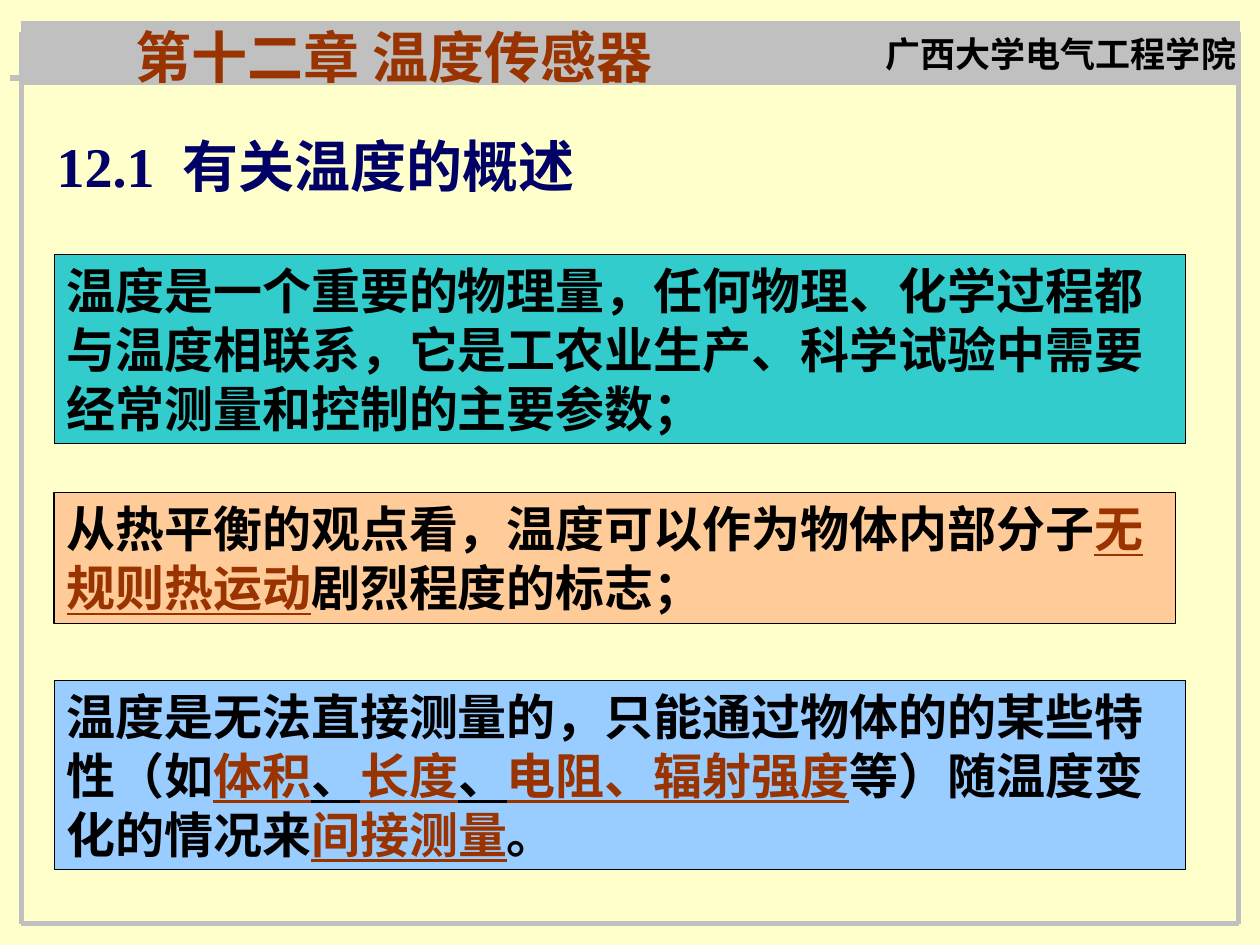
from dataclasses import dataclass

from lxml.etree import SubElement
from pptx import Presentation
from pptx.dml.color import RGBColor
from pptx.enum.lang import MSO_LANGUAGE_ID
from pptx.enum.shapes import MSO_CONNECTOR, MSO_SHAPE
from pptx.enum.text import MSO_ANCHOR, MSO_AUTO_SIZE, PP_ALIGN
from pptx.oxml.ns import qn
from pptx.util import Inches, Pt

CREAM = RGBColor(0xFF, 0xFF, 0xCC)
GRAY = RGBColor(0xC0, 0xC0, 0xC0)
BLACK = RGBColor(0x00, 0x00, 0x00)
NAVY = RGBColor(0x00, 0x00, 0x66)
RUST = RGBColor(0x99, 0x33, 0x00)
TEAL = RGBColor(0x33, 0xCC, 0xCC)
PEACH = RGBColor(0xFF, 0xCC, 0x99)
SKY = RGBColor(0x99, 0xCC, 0xFF)
SERIF = "Times New Roman"
SANS = "Noto Sans CJK SC"
LINE_FACTOR = 1.2


@dataclass
class Span:
    text: str
    color: RGBColor = BLACK
    underline: bool = False


@dataclass
class Panel:
    top: float
    width: float
    height: float
    fill: RGBColor
    spans: list[Span]


FRAME_LINES = [
    (0.08, 0.62, 9.75, 0.62),
    (0.17, 0.25, 0.17, 7.33),
    (9.83, 0.25, 9.83, 7.33),
    (0.17, 7.33, 9.83, 7.33),
]

PANELS = [
    Panel(2.02, 8.98, 1.5, TEAL, [
        Span("温度是一个重要的物理量，任何物理、化学过程都与温度相联系，"
             "它是工农业生产、科学试验中需要经常测量和控制的主要参数；"),
    ]),
    Panel(3.91, 8.9, 1.04, PEACH, [
        Span("从热平衡的观点看，温度可以作为物体内部分子"),
        Span("无规则热运动", RUST, True),
        Span("剧烈程度的标志；"),
    ]),
    Panel(5.4, 8.98, 1.5, SKY, [
        Span("温度是无法直接测量的，只能通过物体的的某些特性（如"),
        Span("体积", RUST, True),
        Span("、", BLACK, True),
        Span("长度", RUST, True),
        Span("、", BLACK, True),
        Span("电阻、辐射强度", RUST, True),
        Span("等）随温度变化的情况来"),
        Span("间接测量", RUST, True),
        Span("。"),
    ]),
]


def write_text(shape, spans: list[Span], size: int, font_name: str, wrap: bool = True) -> None:
    frame = shape.text_frame
    frame_format = {
        "word_wrap": wrap,
        "auto_size": MSO_AUTO_SIZE.NONE,
        "vertical_anchor": MSO_ANCHOR.TOP,
        "margin_left": Inches(0.1),
        "margin_right": Inches(0.1),
        "margin_top": Inches(0.05),
        "margin_bottom": Inches(0.05),
    }
    for name, value in frame_format.items():
        setattr(frame, name, value)
    para = frame.paragraphs[0]
    para.alignment = PP_ALIGN.LEFT
    para.space_before = Pt(0)
    para.line_spacing = Pt(size * LINE_FACTOR)
    for span in spans:
        run = para.add_run()
        run.text = span.text
        font_format = {
            "name": font_name,
            "size": Pt(size),
            "bold": True,
            "underline": span.underline,
            "language_id": MSO_LANGUAGE_ID.SIMPLIFIED_CHINESE,
        }
        for name, value in font_format.items():
            setattr(run.font, name, value)
        run.font.color.rgb = span.color
        SubElement(run.font._element, qn("a:ea"), typeface=SANS)


def add_rectangle(slide, left: float, top: float, width: float, height: float,
                  fill: RGBColor, line: RGBColor):
    box = slide.shapes.add_shape(
        MSO_SHAPE.RECTANGLE, Inches(left), Inches(top), Inches(width), Inches(height))
    box.shadow.inherit = False
    box.fill.solid()
    box.fill.fore_color.rgb = fill
    box.line.color.rgb = line
    box.line.width = Pt(0.75)
    return box


def add_frame_line(slide, ends: tuple[float, ...]) -> None:
    line = slide.shapes.add_connector(
        MSO_CONNECTOR.STRAIGHT, *(Inches(length) for length in ends))
    line.line.color.rgb = GRAY
    line.line.width = Pt(3)
    SubElement(line._element.spPr, qn("a:effectLst"))


def add_label(slide, left: float, top: float, width: float, height: float,
              span: Span, size: int, wrap: bool = True) -> None:
    box = slide.shapes.add_textbox(Inches(left), Inches(top), Inches(width), Inches(height))
    write_text(box, [span], size, SERIF, wrap)


def add_panel(slide, panel: Panel) -> None:
    box = add_rectangle(slide, 0.43, panel.top, panel.width, panel.height, panel.fill, BLACK)
    write_text(box, panel.spans, 28, SANS)


def main() -> None:
    deck = Presentation()
    deck.slide_width, deck.slide_height = Inches(10), Inches(7.5)
    page = deck.slides.add_slide(deck.slide_layouts[5])
    page.background.fill.solid()
    page.background.fill.fore_color.rgb = CREAM

    title = page.shapes.title
    placement = {"left": 0.35, "top": 0.99, "width": 8.03, "height": 0.64}
    for name, value in placement.items():
        setattr(title, name, Inches(value))
    write_text(title, [Span("12.1  有关温度的概述", NAVY)], 32, SERIF)

    add_rectangle(page, 0.17, 0.17, 9.67, 0.5, GRAY, GRAY)
    for ends in FRAME_LINES:
        add_frame_line(page, ends)
    add_label(page, 6.93, 0.21, 3.07, 0.44, Span("广西大学电气工程学院"), 20)
    add_label(page, 0.98, 0.13, 4.3, 0.64, Span("第十二章 温度传感器", RUST), 32, wrap=False)
    for panel in PANELS:
        add_panel(page, panel)

    deck.save("out.pptx")


if __name__ == "__main__":
    main()
